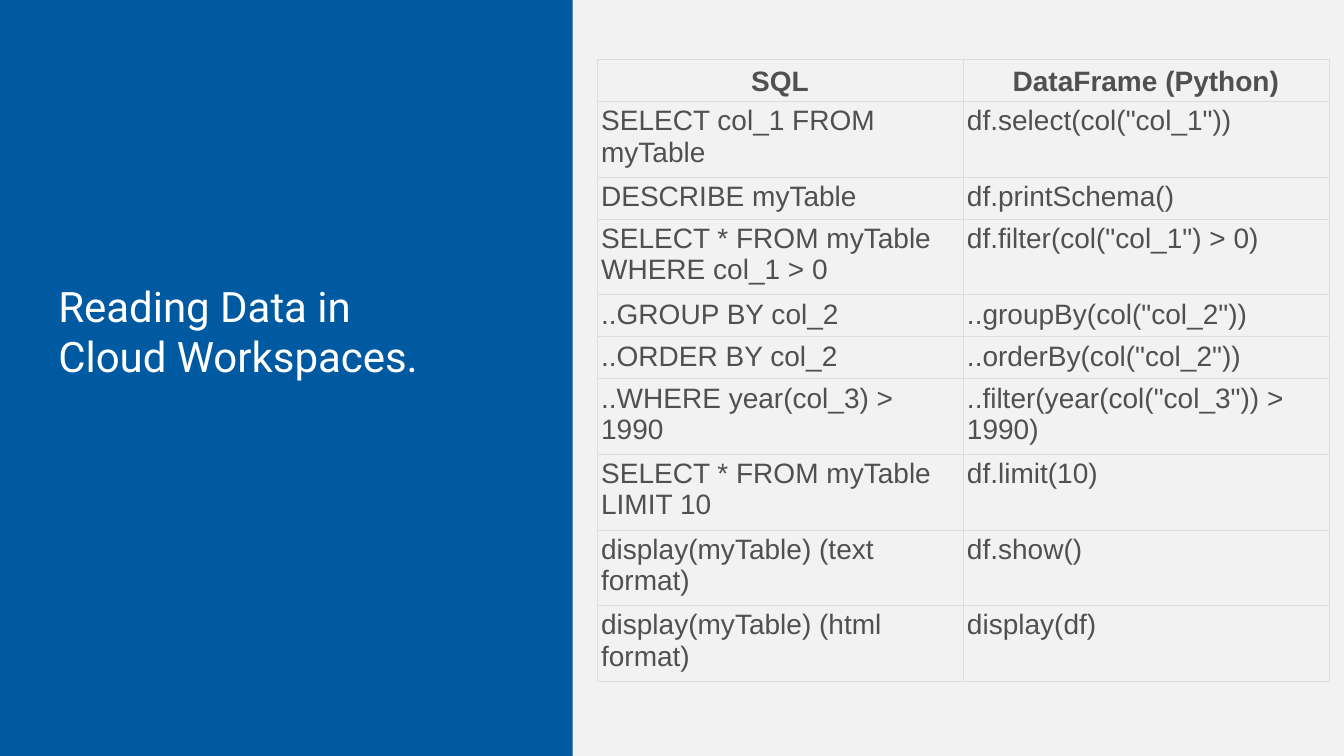
from lxml.etree import SubElement
from pptx import Presentation
from pptx.dml.color import RGBColor
from pptx.enum.shapes import MSO_SHAPE
from pptx.enum.text import MSO_ANCHOR, MSO_AUTO_SIZE, PP_ALIGN
from pptx.oxml.ns import qn
from pptx.util import Pt

COLORS = {
    "blue": "005AA1",
    "panel": "F2F2F2",
    "white": "FFFFFF",
    "text": "505050",
    "border": "DDDDDD",
}
SLIDE_WIDTH, SLIDE_HEIGHT = 960, 540
PANEL_LEFT = 409
COLUMN_WIDTH = 261.36
SINGLE_ROW, DOUBLE_ROW = 30, 54
CELL_MARGIN = 2.88

TITLE_LINES = ["Reading Data in", "Cloud Workspaces."]

# Each row: height, SQL, DataFrame
COMMANDS = [
    (SINGLE_ROW, "SQL", "DataFrame (Python)"),
    (DOUBLE_ROW, "SELECT col_1 FROM myTable", 'df.select(col("col_1"))'),
    (SINGLE_ROW, "DESCRIBE myTable", "df.printSchema()"),
    (DOUBLE_ROW, "SELECT * FROM myTable WHERE col_1 > 0", 'df.filter(col("col_1") > 0)'),
    (SINGLE_ROW, "..GROUP BY col_2", '..groupBy(col("col_2"))'),
    (SINGLE_ROW, "..ORDER BY col_2", '..orderBy(col("col_2"))'),
    (DOUBLE_ROW, "..WHERE year(col_3) > 1990", '..filter(year(col("col_3")) > 1990)'),
    (DOUBLE_ROW, "SELECT * FROM myTable LIMIT 10", "df.limit(10)"),
    (DOUBLE_ROW, "display(myTable) (text format)", "df.show()"),
    (DOUBLE_ROW, "display(myTable) (html format)", "display(df)"),
]


def color(name):
    return RGBColor.from_string(COLORS[name])


def format_runs(paragraph, font_name, size, color_name, bold=False):
    for run in paragraph.runs:
        run.font.name = font_name
        run.font.size = Pt(size)
        run.font.bold = bold
        run.font.color.rgb = color(color_name)


def add_panel(slide, left, width, color_name):
    shape = slide.shapes.add_shape(
        MSO_SHAPE.RECTANGLE, Pt(left), Pt(0), Pt(width), Pt(SLIDE_HEIGHT))
    shape.shadow.inherit = False
    shape.fill.solid()
    shape.fill.fore_color.rgb = color(color_name)
    shape.line.fill.background()


def add_title(slide):
    box = slide.shapes.add_textbox(Pt(34.56), Pt(196.56), Pt(385.92), Pt(79.92))
    text_frame = box.text_frame
    text_frame.word_wrap = True
    text_frame.auto_size = MSO_AUTO_SIZE.SHAPE_TO_FIT_TEXT
    text_frame.text = "\n".join(TITLE_LINES)
    for paragraph in text_frame.paragraphs:
        format_runs(paragraph, "Roboto", 30, "white")


def set_borders(cell):
    properties = cell._tc.get_or_add_tcPr()
    for side in ("a:lnL", "a:lnR", "a:lnT", "a:lnB"):
        line = SubElement(properties, qn(side), w=str(Pt(0.38)))
        fill = SubElement(line, qn("a:solidFill"))
        SubElement(fill, qn("a:srgbClr"), val=COLORS["border"])


def fill_cell(cell, text, is_header):
    cell.margin_left = cell.margin_right = Pt(CELL_MARGIN)
    cell.margin_top = cell.margin_bottom = Pt(CELL_MARGIN)
    cell.vertical_anchor = MSO_ANCHOR.BOTTOM if is_header else MSO_ANCHOR.TOP
    set_borders(cell)
    cell.fill.background()
    cell.text_frame.text = text
    paragraph = cell.text_frame.paragraphs[0]
    paragraph.alignment = PP_ALIGN.CENTER if is_header else PP_ALIGN.LEFT
    format_runs(paragraph, "Arial", 20, "text", bold=is_header)


def add_command_table(slide):
    total_height = sum(height for height, *_ in COMMANDS)
    table = slide.shapes.add_table(
        len(COMMANDS), 2, Pt(426.5), Pt(42.5),
        Pt(2 * COLUMN_WIDTH), Pt(total_height)).table
    table.first_row = table.horz_banding = False
    for column in table.columns:
        column.width = Pt(COLUMN_WIDTH)
    for row_index, (height, *texts) in enumerate(COMMANDS):
        table.rows[row_index].height = Pt(height)
        for column_index, text in enumerate(texts):
            fill_cell(table.cell(row_index, column_index), text, row_index == 0)


def main():
    presentation = Presentation()
    presentation.slide_width = Pt(SLIDE_WIDTH)
    presentation.slide_height = Pt(SLIDE_HEIGHT)
    slide = presentation.slides.add_slide(presentation.slide_layouts[6])

    # Background panels
    add_panel(slide, 0, SLIDE_WIDTH, "blue")
    add_panel(slide, PANEL_LEFT, SLIDE_WIDTH - PANEL_LEFT, "panel")

    # Content
    add_title(slide)
    add_command_table(slide)
    presentation.save("out.pptx")


if __name__ == "__main__":
    main()
